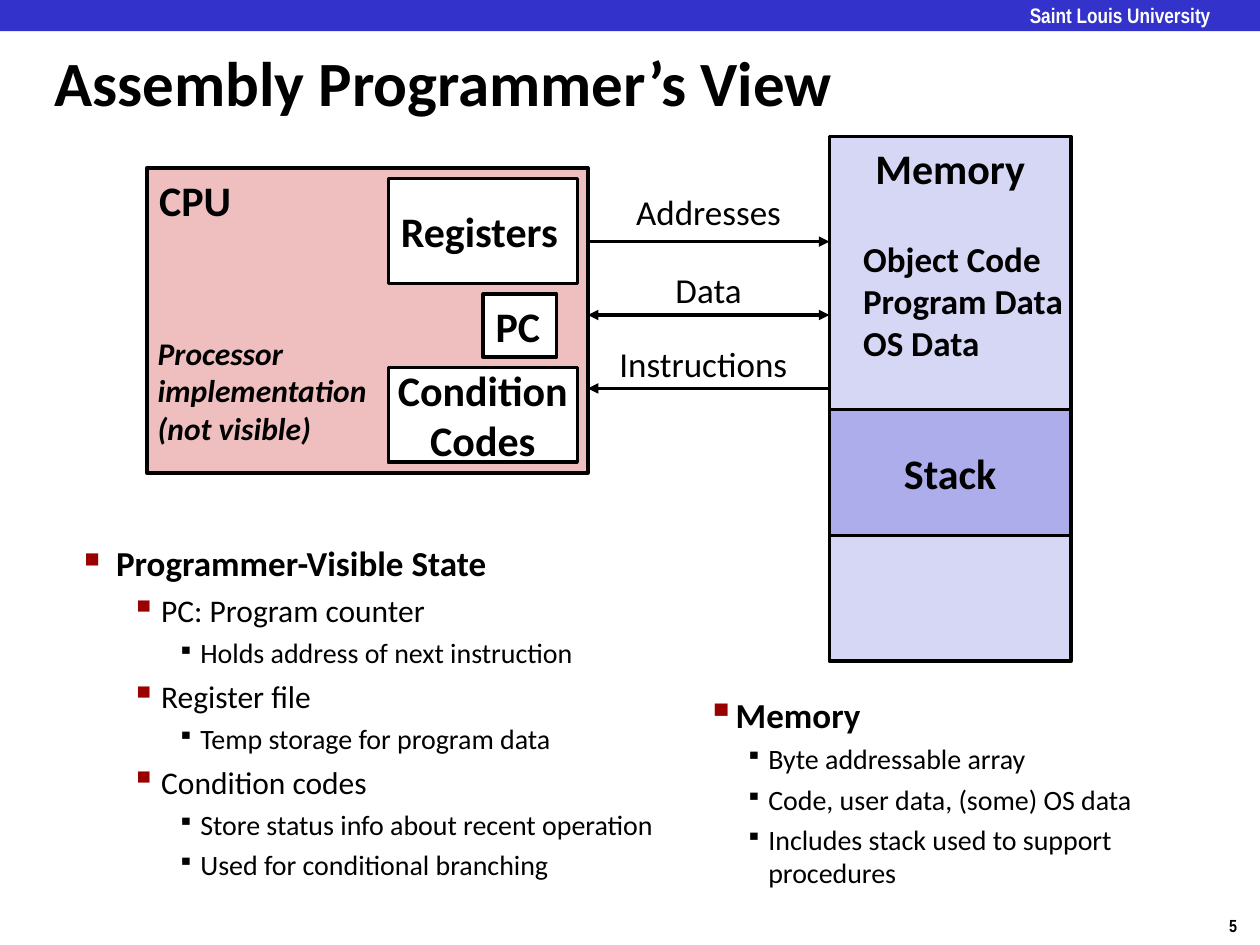
from lxml import etree
from pptx import Presentation
from pptx.dml.color import RGBColor
from pptx.enum.shapes import MSO_CONNECTOR, MSO_SHAPE
from pptx.enum.text import MSO_ANCHOR, MSO_AUTO_SIZE, PP_ALIGN
from pptx.oxml.ns import qn
from pptx.util import Cm, Pt

LEFT, CENTER = PP_ALIGN.LEFT, PP_ALIGN.CENTER
TOP, MIDDLE = MSO_ANCHOR.TOP, MSO_ANCHOR.MIDDLE
RECT, STRAIGHT = MSO_SHAPE.RECTANGLE, MSO_CONNECTOR.STRAIGHT
FIXED = MSO_AUTO_SIZE.NONE
COLORS = {
    "black": "000000", "white": "FFFFFF", "bar": "3333CC", "cpu": "EFBFBF",
    "memory": "D6D6F5", "stack": "ADADEB", "bullet": "990000",
}
BULLETS = {
    "main": dict(level=0, margin=0.64, hang=0.64, char="■", pct=60, color="bullet"),
    "item": dict(level=1, margin=1.55, hang=0.61, char="▪", pct=110, color="bullet"),
    "detail": dict(level=2, margin=2.34, hang=0.46, char="▪", pct=80, color="black"),
    "side": dict(level=1, margin=0.81, hang=0.48, char="▪", pct=110, color="bullet"),
    "side detail": dict(level=2, margin=1.57, hang=0.46, char="▪", pct=80, color="black"),
}


def rgb(name):
    """Return the named palette colour."""
    return RGBColor.from_string(COLORS[name])


def write(p, text, size=24, bold=True, italic=False, color="black", font="Calibri", align=LEFT):
    """Put formatted text into a paragraph."""
    p.text = text
    p.alignment = align
    for r in p.runs:
        r.font.size, r.font.bold, r.font.italic = Pt(size), bold, italic
        r.font.name, r.font.color.rgb = font, rgb(color)


def set_bullet(p, level, margin, hang, char, pct, color):
    """Give a paragraph a hanging coloured bullet."""
    p.level = level
    pPr = p._p.get_or_add_pPr()
    pPr.set("marL", str(Cm(margin)))
    pPr.set("indent", str(-Cm(hang)))
    clr = etree.SubElement(pPr, qn("a:buClr"))
    etree.SubElement(clr, qn("a:srgbClr"), val=COLORS[color])
    etree.SubElement(pPr, qn("a:buSzPct"), val=str(pct * 1000))
    etree.SubElement(pPr, qn("a:buChar"), char=char)


class Deck:
    """Hold the presentation, its current slide and the drawing style."""

    def __init__(self):
        """Start a presentation with one titled slide."""
        self.prs = Presentation()
        self.prs.slide_width, self.prs.slide_height = Cm(25.4), Cm(19.05)
        self.s = self.prs.slides.add_slide(self.prs.slide_layouts[5])

    def fill_frame(self, tf, lines, anchor=TOP, wrap=True, inset=None, **fmt):
        """Write lines as paragraphs of a text frame."""
        tf.auto_size, tf.word_wrap, tf.vertical_anchor = FIXED, wrap, anchor
        if inset is not None:
            tf.margin_left = tf.margin_right = tf.margin_top = tf.margin_bottom = Cm(inset)
        for i, line in enumerate(lines):
            write(tf.add_paragraph() if i else tf.paragraphs[0], line, **fmt)

    def title(self, text, x, y, w, h):
        """Place and format the title placeholder."""
        sp = self.s.shapes.title
        sp.left, sp.top, sp.width, sp.height = Cm(x), Cm(y), Cm(w), Cm(h)
        self.fill_frame(sp.text_frame, [text], anchor=MIDDLE, size=36)

    def box(self, x, y, w, h, fill, lines=(), line=2, **fmt):
        """Draw a filled rectangle with optional text."""
        sp = self.s.shapes.add_shape(RECT, Cm(x), Cm(y), Cm(w), Cm(h))
        sp.shadow.inherit = False
        sp.fill.solid()
        sp.fill.fore_color.rgb = rgb(fill)
        if line:
            sp.line.color.rgb, sp.line.width = rgb("black"), Pt(line)
        else:
            sp.line.fill.background()
        self.fill_frame(sp.text_frame, lines, **fmt)

    def text(self, x, y, w, h, lines, **fmt):
        """Add a text box."""
        sp = self.s.shapes.add_textbox(Cm(x), Cm(y), Cm(w), Cm(h))
        self.fill_frame(sp.text_frame, lines, **fmt)

    def bullets(self, x, y, w, h, items):
        """Add a bulleted list of (kind, size, text) items."""
        sp = self.s.shapes.add_textbox(Cm(x), Cm(y), Cm(w), Cm(h))
        tf = sp.text_frame
        tf.word_wrap = True
        for i, (kind, size, text) in enumerate(items):
            p = tf.add_paragraph() if i else tf.paragraphs[0]
            write(p, text, size=size, bold=size == 20)
            if i:
                p.space_before = Pt(round(size * 0.24, 1))
            set_bullet(p, **BULLETS[kind])

    def arrow(self, x1, x2, y, ends):
        """Draw a horizontal line with the given arrow ends."""
        c = self.s.shapes.add_connector(STRAIGHT, Cm(x1), Cm(y), Cm(x2), Cm(y))
        c.line.color.rgb, c.line.width = rgb("black"), Pt(2)
        for end in ends:
            etree.SubElement(c.line._get_or_add_ln(), qn(f"a:{end}"), type="triangle")
        etree.SubElement(c._element.spPr, qn("a:effectLst"))


def main():
    """Build the slide and save it."""
    d = Deck()
    narrow = dict(size=12, font="Arial Narrow")
    d.box(0, 0, 25.4, 0.63, "bar", line=0)
    d.text(20.76, 0.05, 4.23, 0.48, ["Saint Louis University"], inset=0, color="white", **narrow)
    d.text(24.53, 18.33, 0.87, 0.69, ["5"], wrap=False, **{**narrow, "size": 10})
    d.title("Assembly Programmer’s View", 0.84, 0.84, 20.07, 1.6)

    cpu_x, cpu_w, mem_x, mem_w = 2.96, 8.89, 16.72, 4.87
    bus_x = cpu_x + cpu_w
    d.box(cpu_x, 3.39, cpu_w, 6.14, "cpu", ["CPU"], line=2.25)
    part = dict(anchor=MIDDLE, wrap=False)
    d.box(9.74, 5.93, 1.48, 1.27, "white", ["PC"], **part)
    d.box(7.83, 3.6, 3.81, 2.12, "white", ["Registers"], **part)
    d.box(7.83, 7.41, 3.81, 1.91, "white", ["Condition", "Codes"], align=CENTER, **part)
    d.text(2.93, 6.6, 4.77, 2.56, ["Processor\vimplementation\v(not visible)"],
           wrap=False, size=18, italic=True)

    d.box(mem_x, 2.75, mem_w, 10.58, "memory", ["Memory"], wrap=False, align=CENTER)
    d.text(17.15, 4.66, mem_w, 2.82, ["Object Code", "Program Data", "OS Data"], size=20)
    d.box(mem_x, 8.26, mem_w, 2.54, "stack", ["Stack"], align=CENTER, **part)

    buses = [
        ("Addresses", 3.72, 4.87, ["tailEnd"]),
        ("Data", 5.29, 4.87, ["headEnd", "tailEnd"]),
        ("Instructions", 6.77, 4.66, ["headEnd"]),
    ]
    for i, (label, y, w, ends) in enumerate(buses):
        d.arrow(bus_x, mem_x, 4.87 + 1.48 * i, ends)
        d.text(bus_x, y, w, 1.09, [label], size=20, bold=False, align=CENTER)

    d.bullets(1.45, 10.8, 12.12, 7.54, [
        ("main", 20, "Programmer-Visible State"),
        ("item", 18, "PC: Program counter"),
        ("detail", 16, "Holds address of next instruction"),
        ("item", 18, "Register file"),
        ("detail", 16, "Temp storage for program data"),
        ("item", 18, "Condition codes"),
        ("detail", 16, "Store status info about recent operation"),
        ("detail", 16, "Used for conditional branching"),
    ])
    d.bullets(13.67, 13.85, 11.33, 4.37, [
        ("side", 20, "Memory"),
        ("side detail", 16, "Byte addressable array"),
        ("side detail", 16, "Code, user data, (some) OS data"),
        ("side detail", 16, "Includes stack used to support procedures"),
    ])
    d.prs.save("out.pptx")


if __name__ == "__main__":
    main()
